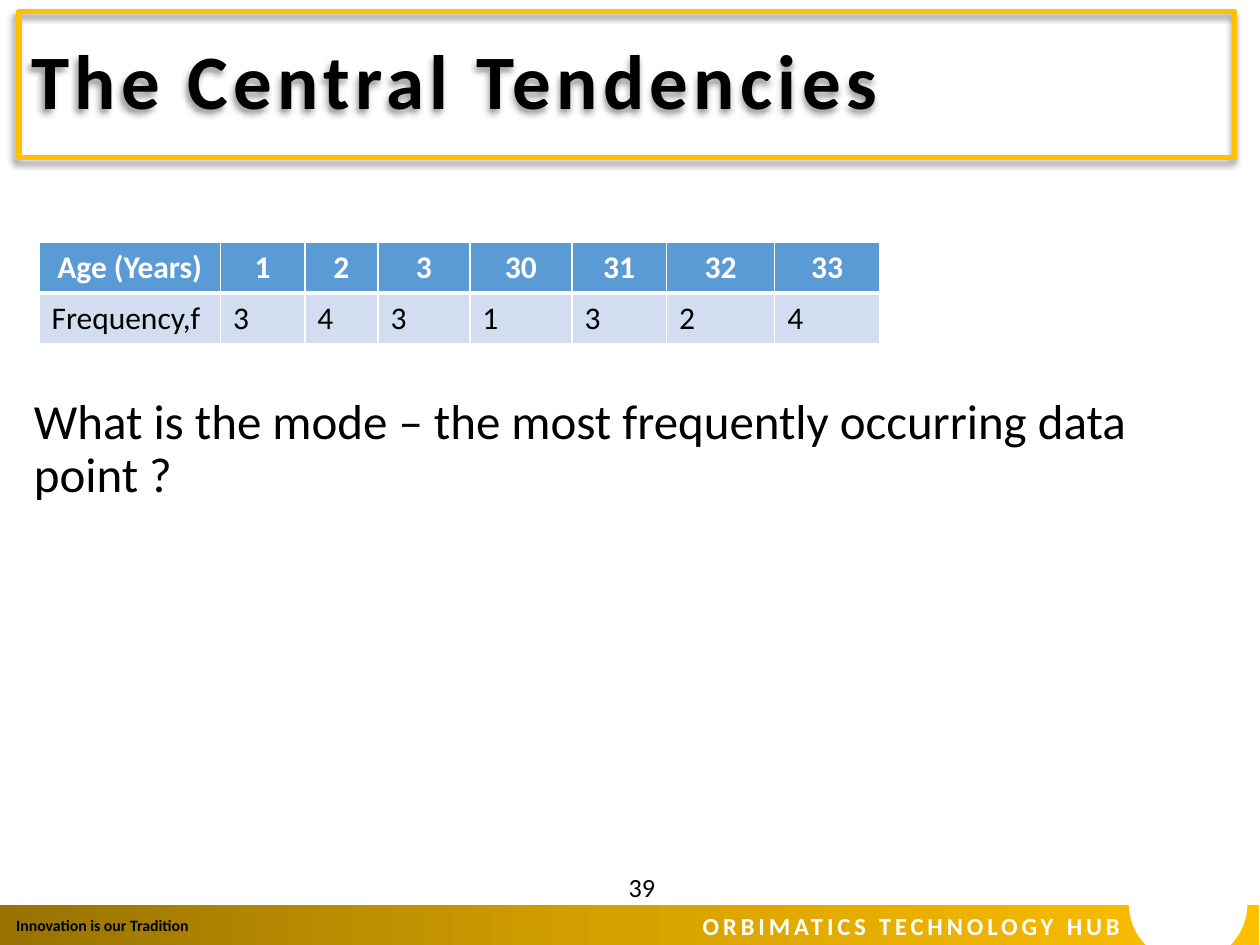
from dataclasses import dataclass

from lxml.etree import SubElement
from pptx import Presentation
from pptx.dml.color import RGBColor
from pptx.enum.shapes import MSO_SHAPE
from pptx.enum.text import MSO_ANCHOR, PP_ALIGN
from pptx.oxml import parse_xml
from pptx.oxml.ns import nsdecls, qn
from pptx.util import Inches, Pt

COLORS = {
    "black": "000000",
    "white": "FFFFFF",
    "gold": "FFC000",
    "mid_gold": "D7A200",
    "dark_gold": "977200",
    "header": "5B9BD5",
    "row": "D2DEEF",
}
FONT = "Calibri"


@dataclass
class Label:
    text: str
    box: tuple[float, float, float, float]
    size: float
    color: str = "black"
    bold: bool = False
    align: PP_ALIGN = PP_ALIGN.LEFT
    anchor: MSO_ANCHOR = MSO_ANCHOR.TOP
    wrap: bool = True
    tracking: float = 0
    line_spacing: float = 1.0


FOOTER = [
    Label("ORBIMATICS TECHNOLOGY HUB", (1.93, 7.18, 7.06, 0.34), 14, "white",
          bold=True, align=PP_ALIGN.RIGHT, tracking=2.2),
    Label("Innovation is our Tradition", (0.03, 7.22, 1.61, 0.25), 9,
          bold=True, wrap=False),
    Label("39", (3.97, 6.84, 2.25, 0.4), 15, align=PP_ALIGN.CENTER,
          anchor=MSO_ANCHOR.MIDDLE),
]
TITLE = Label("The Central Tendencies", (0.15, 0.09, 9.65, 1.16), 44, bold=True,
              anchor=MSO_ANCHOR.MIDDLE, tracking=3, line_spacing=0.9)
QUESTION = Label("What is the mode – the most frequently occurring data point ?",
                 (0.17, 3.1, 9.62, 3.7), 28, line_spacing=0.9)
TABLE_ROWS = [
    ["Age (Years)", "1", "2", "3", "30", "31", "32", "33"],
    ["Frequency,f", "3", "4", "3", "1", "3", "2", "4"],
]
COLUMN_WIDTHS = [1.44, 0.67, 0.58, 0.73, 0.81, 0.75, 0.86, 0.83]


def rgb(name: str) -> RGBColor:
    return RGBColor.from_string(COLORS[name])


def style_paragraph(p, size: float, color: str, bold: bool, align: PP_ALIGN) -> None:
    p.alignment = align
    p.font.name = FONT
    p.font.size = Pt(size)
    p.font.bold = bold
    p.font.color.rgb = rgb(color)


def write_label(sp, label: Label) -> None:
    tf = sp.text_frame
    tf.word_wrap = label.wrap
    tf.vertical_anchor = label.anchor
    p = tf.paragraphs[0]
    r = p.add_run()
    r.text = label.text
    style_paragraph(p, label.size, label.color, label.bold, label.align)
    p.line_spacing = label.line_spacing
    if label.tracking:
        r.font._element.set("spc", str(round(label.tracking * 100)))


def add_label(s, label: Label) -> None:
    write_label(s.shapes.add_textbox(*map(Inches, label.box)), label)


def add_footer_band(s) -> None:
    sp = s.shapes.add_shape(MSO_SHAPE.RECTANGLE, Inches(-0.02), Inches(7.18),
                            Inches(10.02), Inches(0.33))
    sp.shadow.inherit = False
    sp.fill.gradient()
    sp.fill.gradient_angle = 0
    stops = sp._element.spPr.find(qn("a:gradFill")).find(qn("a:gsLst"))
    stops.clear()
    for percent, name in [(0, "dark_gold"), (50, "mid_gold"), (100, "gold")]:
        stop = SubElement(stops, qn("a:gs"), pos=str(percent * 1000))
        SubElement(stop, qn("a:srgbClr"), val=COLORS[name])
    sp.line.color.rgb = rgb("white")
    sp.line.width = Pt(1)


def add_footer_circle(s) -> None:
    sp = s.shapes.add_shape(MSO_SHAPE.OVAL, Inches(8.96), Inches(6.71),
                            Inches(0.94), Inches(0.93))
    sp.shadow.inherit = False
    sp.fill.solid()
    sp.fill.fore_color.rgb = rgb("white")
    sp.line.fill.background()


def add_title(s) -> None:
    """Draw the unfilled frame, whose shadow falls from its border and its text."""
    sp = s.shapes.add_shape(MSO_SHAPE.RECTANGLE, *map(Inches, TITLE.box))
    sp.fill.background()
    sp.line.color.rgb = rgb("gold")
    sp.line.width = Pt(3)
    sp.shadow.inherit = False
    effects = sp._element.spPr.find(qn("a:effectLst"))
    effects.append(parse_xml(
        f'<a:outerShdw {nsdecls("a")} blurRad="{Pt(4)}" dist="{Pt(3)}" '
        f'dir="{135 * 60000}" algn="tr" rotWithShape="0">'
        f'<a:srgbClr val="{COLORS["black"]}"><a:alpha val="40000"/></a:srgbClr>'
        '</a:outerShdw>'))
    write_label(sp, TITLE)


def set_borders(cell, top: float, bottom: float) -> None:
    tc_pr = cell._tc.get_or_add_tcPr()
    for side, width in [("L", 1), ("R", 1), ("T", top), ("B", bottom)]:
        line = SubElement(tc_pr, qn(f"a:ln{side}"), w=str(Pt(width)))
        fill = SubElement(line, qn("a:solidFill"))
        SubElement(fill, qn("a:srgbClr"), val=COLORS["white"])


def add_frequency_table(s) -> None:
    table = s.shapes.add_table(len(TABLE_ROWS), len(COLUMN_WIDTHS), Inches(0.31),
                               Inches(1.92), Inches(6.67), Inches(0.81)).table
    for column, width in zip(table.columns, COLUMN_WIDTHS):
        column.width = Inches(width)
    for i, row in enumerate(TABLE_ROWS):
        header = i == 0
        for j, text in enumerate(row):
            cell = table.cell(i, j)
            cell.text = text
            style_paragraph(cell.text_frame.paragraphs[0], 18,
                            "white" if header else "black", header,
                            PP_ALIGN.CENTER if header else PP_ALIGN.LEFT)
            set_borders(cell, top=1 if header else 3, bottom=3 if header else 1)
            cell.fill.solid()
            cell.fill.fore_color.rgb = rgb("header" if header else "row")


def main() -> None:
    prs = Presentation()
    prs.slide_width, prs.slide_height = Inches(10), Inches(7.5)
    s = prs.slides.add_slide(prs.slide_layouts[6])
    add_footer_band(s)
    for label in FOOTER:
        add_label(s, label)
    add_footer_circle(s)
    add_title(s)
    add_label(s, QUESTION)
    add_frequency_table(s)
    prs.save("out.pptx")


if __name__ == "__main__":
    main()
